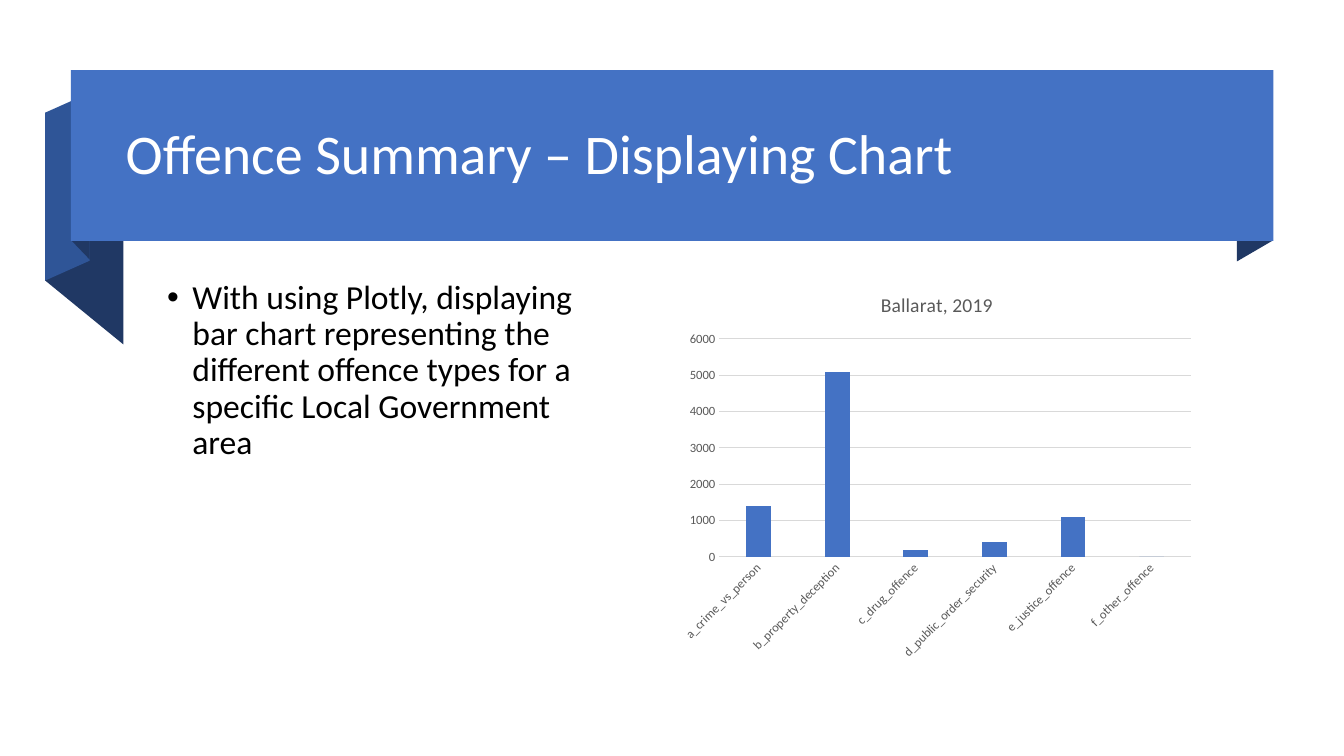
from pptx import Presentation
from pptx import util as u
from pptx.chart.data import CategoryChartData
from pptx.dml.color import RGBColor
from pptx.enum import chart as charts, shapes, text
from pptx.oxml.ns import qn
from lxml import etree

BLUE = RGBColor(0x44, 0x72, 0xC4)
MID_BLUE = RGBColor(0x2F, 0x55, 0x97)
NAVY = RGBColor(0x20, 0x38, 0x64)
WHITE = RGBColor(0xFF, 0xFF, 0xFF)
BLACK = RGBColor(0, 0, 0)
GREY = RGBColor(0x59, 0x59, 0x59)
GRID = RGBColor(0xD9, 0xD9, 0xD9)

OFFENCES = {
    "a_crime_vs_person": 1400,
    "b_property_deception": 5100,
    "c_drug_offence": 200,
    "d_public_order_security": 400,
    "e_justice_offence": 1100,
    "f_other_offence": 0,
}


def write(para, words, size, color, font="Calibri"):
    span = para.add_run()
    span.text = words
    style_font(span.font, size, color, font)


def style_font(target, size, color, font="Calibri"):
    target.name = font
    target.size = u.Pt(size)
    target.bold = False
    target.color.rgb = color


class Builder:
    def __init__(self, page):
        self.page = page

    def paint(self, shape, color):
        shape.shadow.inherit = False
        shape.fill.solid()
        shape.fill.fore_color.rgb = color
        shape.line.fill.background()

    def fold(self, left, right, top_left, top_right, height, color):
        corners = [
            (u.Cm(x), u.Cm(y)) for x, y in (
                (left, top_left),
                (right, top_right),
                (right, top_right + height),
                (left, top_left + height),
            )
        ]
        outline = self.page.shapes.build_freeform(*corners[0])
        outline.add_line_segments(corners[1:])
        self.paint(outline.convert_to_shape(), color)

    def banner(self, left, top, width, height, color):
        box = self.page.shapes.add_shape(
            shapes.MSO_SHAPE.RECTANGLE, *map(u.Cm, (left, top, width, height)))
        self.paint(box, color)

    def words(self, left, top, width, height, content, size, color,
              anchor=text.MSO_ANCHOR.TOP, bullet=False):
        box = self.page.shapes.add_textbox(*map(u.Cm, (left, top, width, height)))
        frame = box.text_frame
        frame.word_wrap = True
        frame.vertical_anchor = anchor
        para = frame.paragraphs[0]
        para.line_spacing = 0.9
        if bullet:
            para.space_before = u.Pt(10)
            props = para._p.get_or_add_pPr()
            props.set("marL", str(u.Cm(0.64)))
            props.set("indent", str(u.Cm(-0.64)))
            etree.SubElement(props, qn("a:buFont")).set("typeface", "Arial")
            etree.SubElement(props, qn("a:buChar")).set("char", "•")
        write(para, content, size, color)

    def columns(self, left, top, width, height, title, values):
        data = CategoryChartData()
        data.categories = values.keys()
        data.add_series("Series 1", values.values())
        chart = self.page.shapes.add_chart(
            charts.XL_CHART_TYPE.COLUMN_CLUSTERED,
            *map(u.Cm, (left, top, width, height)), data).chart
        style_font(chart.font, 10, BLACK)
        chart.has_legend = False
        chart.has_title = True
        write(chart.chart_title.text_frame.paragraphs[0], title, 14, GREY)
        chart.chart_title.include_in_layout = False

        plot = chart.plots[0]
        plot.gap_width = 219
        plot.overlap = -27
        plot.vary_by_categories = False
        fill = plot.series[0].format.fill
        fill.solid()
        fill.fore_color.rgb = BLUE

        for axis in (chart.category_axis, chart.value_axis):
            axis.major_tick_mark = charts.XL_TICK_MARK.NONE
            axis.minor_tick_mark = charts.XL_TICK_MARK.NONE
            style_font(axis.tick_labels.font, 9, GREY)
        chart.category_axis._element.txPr.bodyPr.set("rot", "-2700000")
        chart.value_axis.format.line.fill.background()
        chart.value_axis.minimum_scale = 0
        chart.value_axis.maximum_scale = 6000
        chart.value_axis.major_unit = 1000
        chart.value_axis.has_major_gridlines = True
        for part in (chart.category_axis, chart.value_axis.major_gridlines):
            part.format.line.color.rgb = GRID
            part.format.line.width = u.Pt(0.75)


def main():
    deck = Presentation()
    deck.slide_width, deck.slide_height = u.Cm(33.87), u.Cm(19.05)
    build = Builder(deck.slides.add_slide(deck.slide_layouts[6]))

    build.fold(31.17, 32.08, 2.31, 1.78, 4.28, NAVY)
    build.fold(1.14, 3.11, 2.84, 4.45, 4.23, NAVY)
    build.fold(1.14, 2.26, 2.84, 2.34, 4.23, MID_BLUE)
    build.fold(1.8, 2.26, 1.78, 2.26, 4.28, NAVY)
    build.banner(1.79, 1.77, 30.3, 4.3, BLUE)
    build.words(2.92, 2.11, 28.63, 3.68, "Offence Summary – Displaying Chart",
                40, WHITE, anchor=text.MSO_ANCHOR.MIDDLE)
    build.words(3.96, 6.94, 11.25, 9.9,
                "With using Plotly, displaying bar chart representing the "
                "different offence types for a specific Local Government area",
                24, BLACK, bullet=True)
    build.columns(16.94, 6.92, 13.34, 9.9, "Ballarat, 2019", OFFENCES)
    deck.save("out.pptx")


if __name__ == "__main__":
    main()
